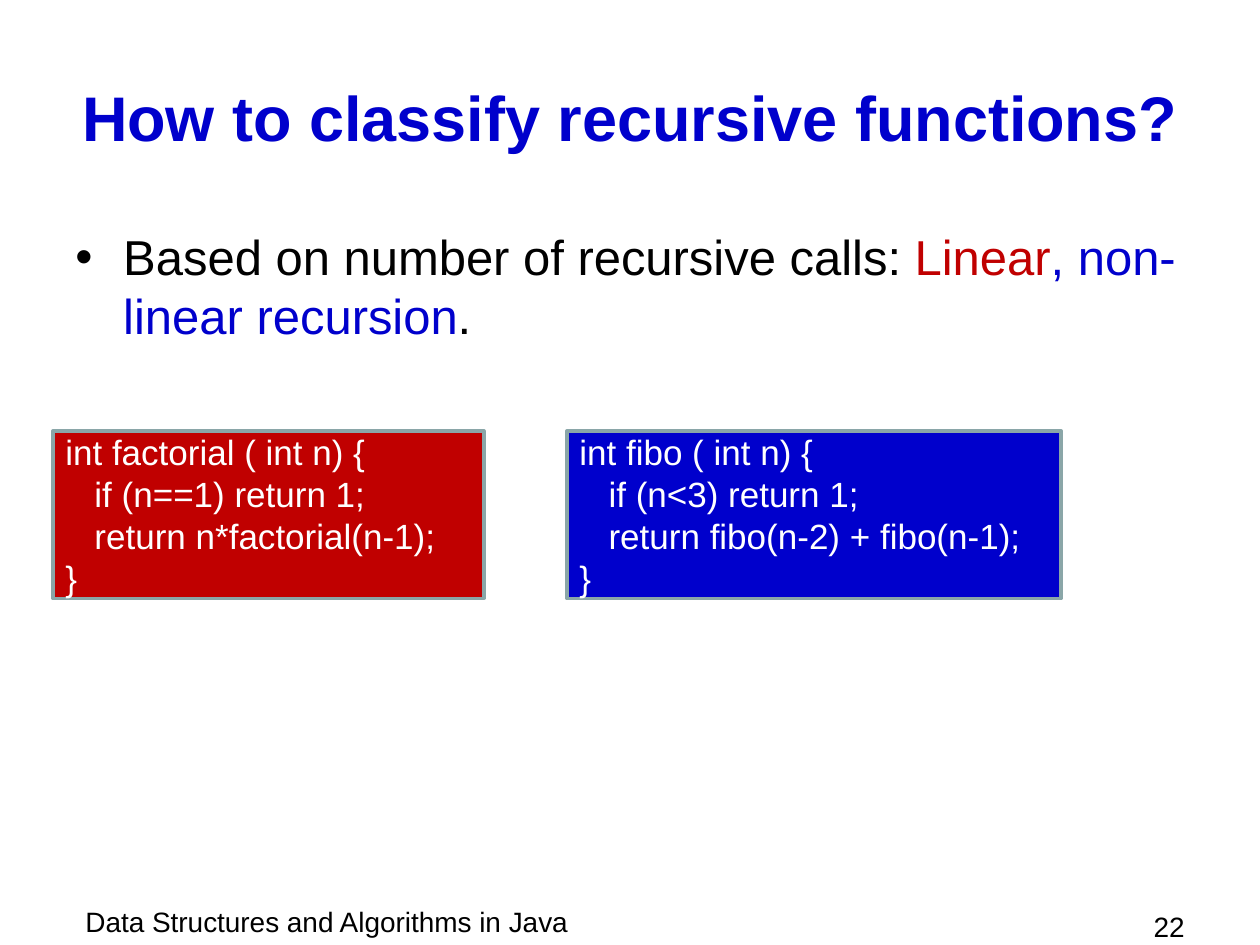
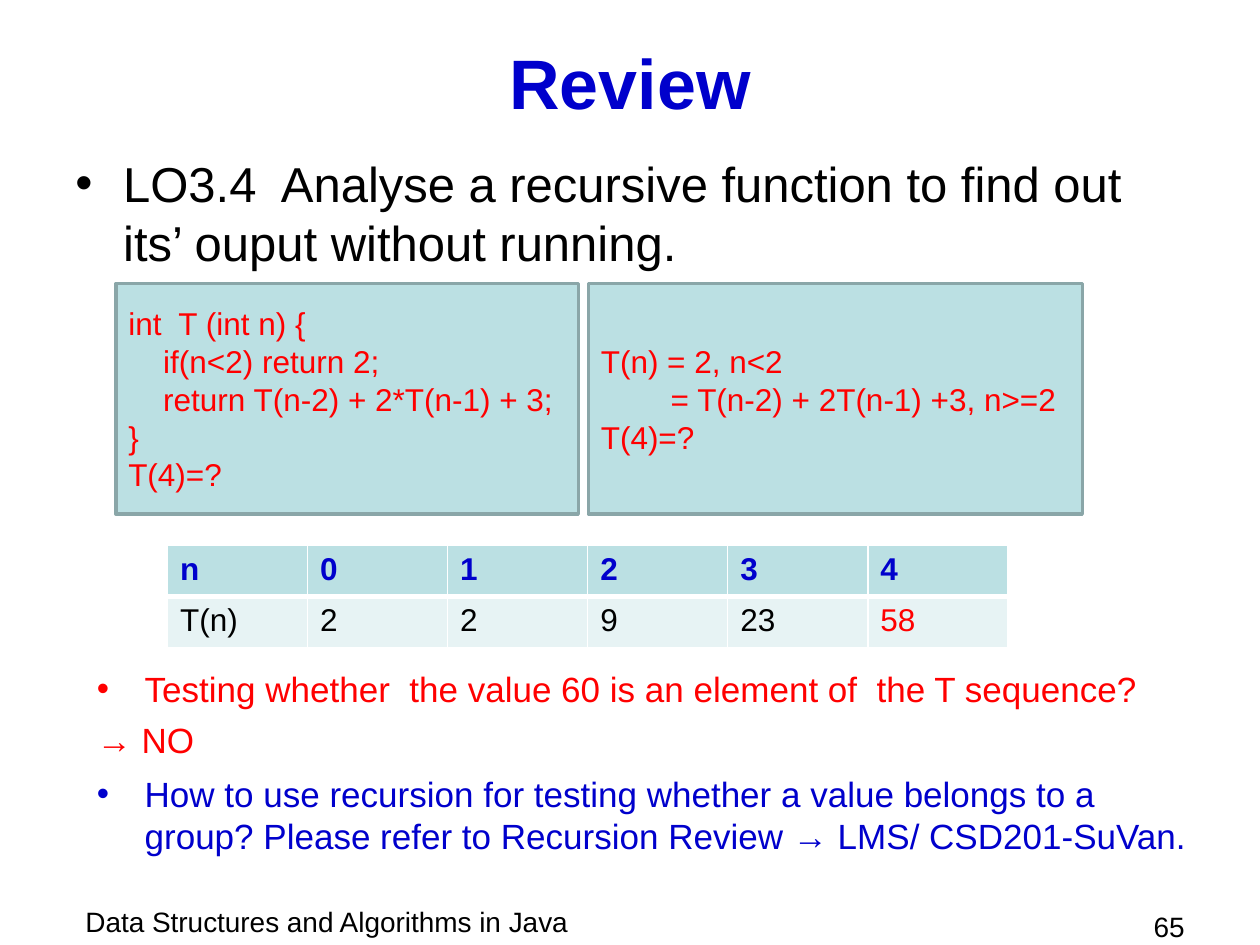
from lxml import etree
from pptx import Presentation
from pptx.dml.color import RGBColor
from pptx.enum.shapes import MSO_SHAPE
from pptx.enum.text import MSO_ANCHOR, PP_ALIGN
from pptx.oxml.ns import qn
from pptx.util import Inches, Pt

RECTANGLE = MSO_SHAPE.RECTANGLE
TOP, MIDDLE = MSO_ANCHOR.TOP, MSO_ANCHOR.MIDDLE
LEFT, CENTER, RIGHT = PP_ALIGN.LEFT, PP_ALIGN.CENTER, PP_ALIGN.RIGHT

FONT = "Arial"
HANGING = 0.38
FOOTER = "Data Structures and Algorithms in Java"
COLORS = {
    "black": "000000",
    "white": "FFFFFF",
    "blue": "0000CC",
    "dark_red": "C00000",
    "red": "FF0000",
    "teal": "BBE0E3",
    "pale_teal": "E7F3F4",
    "outline": "8AA6A8",
}


def rgb(name):
    return RGBColor.from_string(COLORS[name])


def style_run(run, size, color, bold=False):
    run.font.name = FONT
    run.font.size = Pt(size)
    run.font.bold = bold
    run.font.color.rgb = rgb(color)


def fill_text(text_frame, paragraphs, size, align=LEFT, bold=False):
    for index, pieces in enumerate(paragraphs):
        paragraph = text_frame.paragraphs[0] if index == 0 else text_frame.add_paragraph()
        paragraph.alignment = align
        for text, color in pieces:
            run = paragraph.add_run()
            run.text = text
            style_run(run, size, color, bold)


def add_text(slide, box, paragraphs, size, align=LEFT, anchor=TOP, bold=False):
    text_frame = slide.shapes.add_textbox(*map(Inches, box)).text_frame
    text_frame.word_wrap = True
    text_frame.vertical_anchor = anchor
    fill_text(text_frame, paragraphs, size, align, bold)
    return text_frame


def add_bullet(paragraph):
    properties = paragraph._p.get_or_add_pPr()
    properties.set("marL", str(Inches(HANGING)))
    properties.set("indent", str(-Inches(HANGING)))
    etree.SubElement(properties, qn("a:buFont"), typeface=FONT)
    etree.SubElement(properties, qn("a:buChar"), char="•")


def add_bullet_text(slide, box, paragraphs, size):
    text_frame = add_text(slide, box, paragraphs, size)
    add_bullet(text_frame.paragraphs[0])
    for paragraph in text_frame.paragraphs[1:]:
        paragraph.space_before = Pt(5)


def add_title(slide, box, title, size):
    add_text(slide, box, [[(title, "blue")]], size, CENTER, MIDDLE, bold=True)


def add_footer(slide, number):
    add_text(slide, (0.58, 7.13, 5.67, 0.37), [[(FOOTER, "black")]], 16)
    add_text(slide, (8.5, 7.17, 1, 0.33), [[(str(number), "black")]], 16, RIGHT)


def add_code_box(slide, box, code, size, fill, color):
    shape = slide.shapes.add_shape(RECTANGLE, *map(Inches, box))
    shape.shadow.inherit = False
    shape.fill.solid()
    shape.fill.fore_color.rgb = rgb(fill)
    shape.line.color.rgb = rgb("outline")
    shape.line.width = Pt(2)
    shape.text_frame.word_wrap = True
    shape.text_frame.vertical_anchor = MIDDLE
    fill_text(shape.text_frame, [[(line, color)] for line in code], size)


def add_cell_borders(cell, widths):
    properties = cell._tc.get_or_add_tcPr()
    for side, width in zip("LRTB", widths):
        line = etree.SubElement(properties, qn(f"a:ln{side}"), w=str(Pt(width)))
        solid = etree.SubElement(line, qn("a:solidFill"))
        etree.SubElement(solid, qn("a:srgbClr"), val=COLORS["white"])


def add_value_table(slide, box, rows):
    frame = slide.shapes.add_table(len(rows), len(rows[0]), *map(Inches, box))
    for row_index, values in enumerate(rows):
        header = row_index == 0
        for column_index, value in enumerate(values):
            cell = frame.table.cell(row_index, column_index)
            last = column_index == len(values) - 1
            color = "blue" if header else "red" if last else "black"
            add_cell_borders(cell, (1, 1, 1, 3) if header else (1, 1, 3, 1))
            cell.fill.solid()
            cell.fill.fore_color.rgb = rgb("teal" if header else "pale_teal")
            fill_text(cell.text_frame, [[(value, color)]], 18, bold=header)


def build_classification(slide):
    add_footer(slide, 22)
    add_title(slide, (0.5, 0.3, 9, 1.25), "How to classify recursive functions?", 36)
    add_bullet_text(slide, (0.5, 1.75, 9, 1.08), [[
        ("Based on number of recursive calls: ", "black"),
        ("Linear", "dark_red"),
        (", non-linear recursion", "blue"),
        (".", "black"),
    ]], 28)
    factorial = [
        "int factorial ( int n) {",
        "   if (n==1) return 1;",
        "   return n*factorial(n-1);",
        "}",
    ]
    fibonacci = [
        "int fibo ( int n) {",
        "   if (n<3) return 1;",
        "   return fibo(n-2) + fibo(n-1);",
        "}",
    ]
    add_code_box(slide, (0.42, 3.42, 3.42, 1.33), factorial, 20, "dark_red", "white")
    add_code_box(slide, (4.5, 3.42, 3.92, 1.33), fibonacci, 20, "blue", "white")


def build_review(slide):
    add_footer(slide, 65)
    add_title(slide, (0.5, 0.3, 9, 0.7), "Review", 40)
    objective = "LO3.4  Analyse a recursive function to find out its’ ouput without running."
    add_bullet_text(slide, (0.5, 1.17, 9, 1), [[(objective, "black")]], 28)
    function = [
        "int  T (int n) {",
        "    if(n<2) return 2;",
        "    return T(n-2) + 2*T(n-1) + 3;",
        "}",
        "T(4)=?",
    ]
    formula = [
        "T(n) = 2, n<2",
        "        = T(n-2) + 2T(n-1) +3, n>=2",
        "T(4)=?",
    ]
    add_code_box(slide, (0.92, 2.25, 3.67, 1.83), function, 18, "teal", "red")
    add_code_box(slide, (4.67, 2.25, 3.92, 1.83), formula, 18, "teal", "red")
    add_value_table(slide, (1.33, 4.33, 6.67, 0.81), [
        ["n", "0", "1", "2", "3", "4"],
        ["T(n)", "2", "2", "9", "23", "58"],
    ])
    question = "Testing whether  the value 60 is an element of  the T sequence?"
    add_bullet_text(slide, (0.67, 5.25, 9, 0.58),
                    [[(question, "red")], [("→ NO", "red")]], 20)
    reference = ("How to use recursion for testing whether a value belongs to a group? "
                 "Please refer to Recursion Review → LMS/ CSD201-SuVan.")
    add_bullet_text(slide, (0.67, 6.08, 9, 0.83), [[(reference, "blue")]], 20)


def main():
    presentation = Presentation()
    presentation.slide_width = Inches(10)
    presentation.slide_height = Inches(7.5)
    blank = presentation.slide_layouts[6]
    for build in (build_classification, build_review):
        build(presentation.slides.add_slide(blank))
    presentation.save("out.pptx")


if __name__ == "__main__":
    main()
